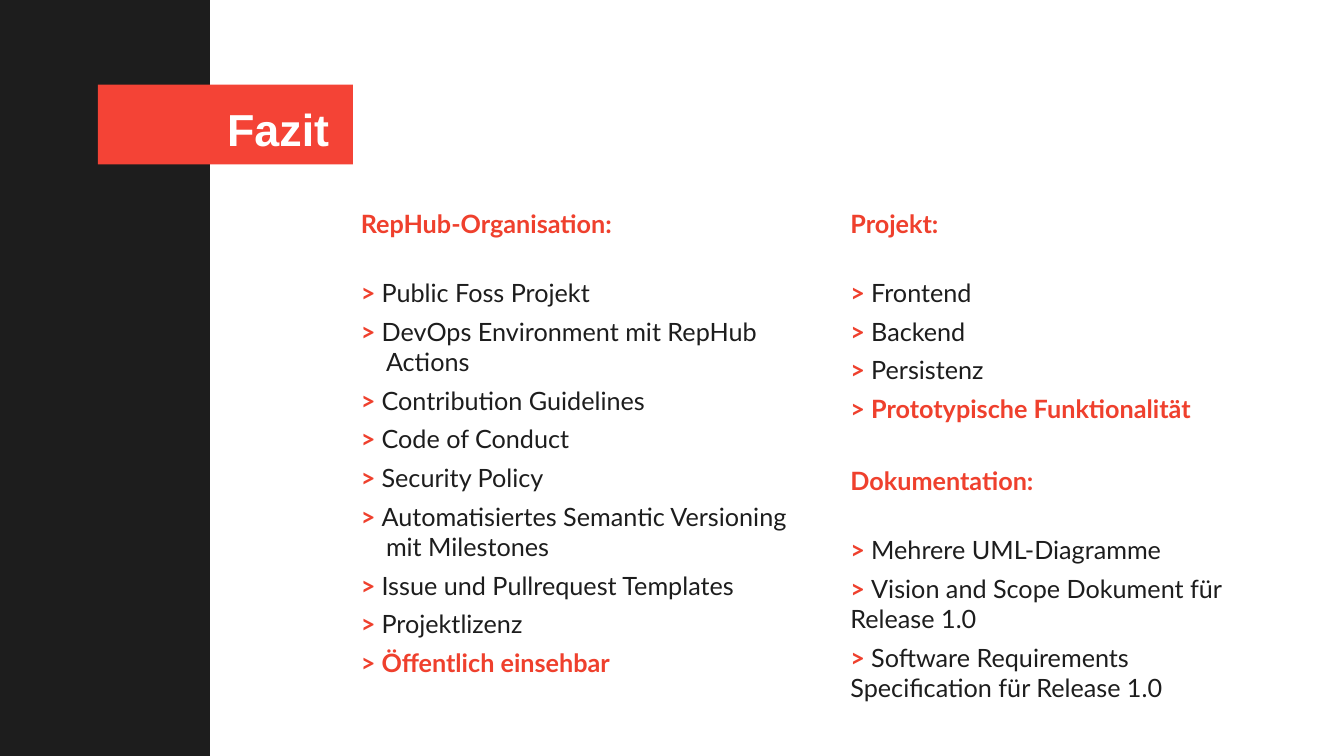
from pptx import Presentation
from pptx.dml.color import RGBColor
from pptx.enum.shapes import MSO_SHAPE as Shape
from pptx.enum.text import MSO_AUTO_SIZE as AutoSize, PP_ALIGN as Align
from pptx.util import Pt

COLORS = {"dark": "1D1D1D", "red": "F44336", "accent": "EF402D", "white": "FFFFFF"}

deck = Presentation()
deck.slide_width, deck.slide_height = Pt(960), Pt(540)
page = deck.slides.add_slide(deck.slide_layouts[6])


def add_text_box(left, top, width, height):
    box = page.shapes.add_textbox(Pt(left), Pt(top), Pt(width), Pt(height))
    frame_format = {
        "margin_left": 0, "margin_top": 0, "margin_right": 0, "margin_bottom": 0,
        "word_wrap": True, "auto_size": AutoSize.SHAPE_TO_FIT_TEXT,
    }
    for name, value in frame_format.items():
        setattr(box.text_frame, name, value)
    return box.text_frame


def add_span(para, text, color, bold=True, size=18, font="Lato"):
    span = para.add_run()
    span.text = text
    for name, value in {"name": font, "size": Pt(size), "bold": bold}.items():
        setattr(span.font, name, value)
    span.font.color.rgb = RGBColor.from_string(COLORS[color])


for left, top, width, height, color in [
    (0, 0, 150, 540, "dark"),
    (70, 60.5, 182, 57, "red"),
]:
    block = page.shapes.add_shape(Shape.RECTANGLE, Pt(left), Pt(top), Pt(width), Pt(height))
    block.shadow.inherit = False
    block.fill.solid()
    block.fill.fore_color.rgb = RGBColor.from_string(COLORS[color])
    block.line.fill.background()

title = add_text_box(145.5, 69, 106.5, 39.5).paragraphs[0]
title.alignment = Align.CENTER
title.line_spacing = 1.1
add_span(title, "Fazit", "white", size=32, font="Arial")

sections = [
    {
        "place": (257.75, 149, 327, 338), "hanging": 18,
        "heading": "RepHub-Organisation:",
        "items": [
            "Public Foss Projekt",
            "DevOps Environment mit RepHub Actions",
            "Contribution Guidelines",
            "Code of Conduct",
            "Security Policy",
            "Automatisiertes Semantic Versioning mit Milestones",
            "Issue und Pullrequest Templates",
            "Projektlizenz",
        ],
        "result": "Öffentlich einsehbar",
    },
    {
        "place": (607.5, 149, 283, 155), "hanging": 0,
        "heading": "Projekt:",
        "items": ["Frontend", "Backend", "Persistenz"],
        "result": "Prototypische Funktionalität",
    },
    {
        "place": (607.5, 332.5, 283, 171), "hanging": 0,
        "heading": "Dokumentation:",
        "items": [
            "Mehrere UML-Diagramme",
            "Vision and Scope Dokument für Release 1.0",
            "Software Requirements Specification für Release 1.0",
        ],
        "result": None,
    },
]

for section in sections:
    frame = add_text_box(*section["place"])
    add_span(frame.paragraphs[0], section["heading"], "accent")
    entries = [(item, "dark", False) for item in section["items"]]
    if section["result"]:
        entries.append((section["result"], "accent", True))
    for index, (text, color, bold) in enumerate(entries):
        para = frame.add_paragraph()
        para.space_before = Pt(6 if index else 27.6)
        properties = para._p.get_or_add_pPr()
        properties.set("marL", str(Pt(section["hanging"])))
        properties.set("indent", str(-Pt(section["hanging"])))
        add_span(para, "> ", "accent")
        add_span(para, text, color, bold)

deck.save("out.pptx")
